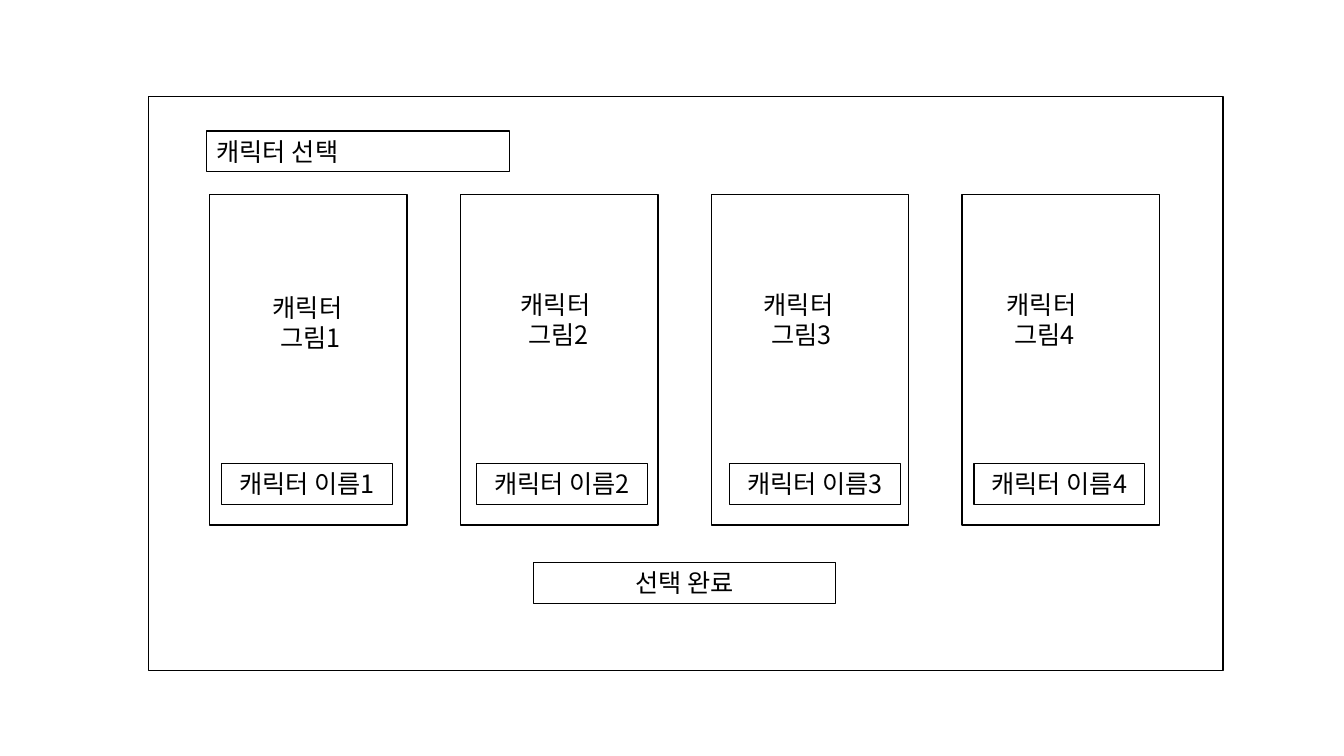
"""Build a character selection wireframe slide."""
from pptx import Presentation, util as u
from pptx.dml.color import RGBColor
from pptx.enum import shapes, text
from pptx.oxml.ns import qn

WIDE, HIGH = u.Inches(13.33), u.Inches(7.5)
FONT = "Noto Sans CJK KR"
INK, PAPER = "000000", "FFFFFF"
LEFT, MID = text.PP_ALIGN.LEFT, text.PP_ALIGN.CENTER
BAR_W, BAR_H = 22.51, 5.39
CARD_X, CARD_STEP = 15.6, 18.66
NAME_X = (16.5, 35.48, 54.31, 72.47)
ART_X = (11.63, 30.08, 48.16, 66.24)
ART_Y = (38, 37.6, 37.6, 37.6)


def color(code):
    """Turn a hex string into a colour."""
    return RGBColor.from_string(code)


def place(x, y, w, h):
    """Turn percentages of the slide into lengths."""
    return [round(part * size / 100)
            for part, size in zip((x, y, w, h), (WIDE, HIGH, WIDE, HIGH))]


def outline(parent, area, weight, fill=None):
    """Add a rectangle with a black outline."""
    box = parent.add_shape(shapes.MSO_SHAPE.RECTANGLE, *place(*area))
    box.shadow.inherit = False
    if fill:
        box.fill.solid()
        box.fill.fore_color.rgb = color(fill)
    else:
        box.fill.background()
    box.line.color.rgb = color(INK)
    box.line.width = u.Pt(weight)
    return box


def write(box, words, align):
    """Fill a box with styled text."""
    frame = box.text_frame
    frame.text = words
    frame.word_wrap = True
    frame.auto_size = text.MSO_AUTO_SIZE.SHAPE_TO_FIT_TEXT
    frame.vertical_anchor = text.MSO_ANCHOR.TOP
    for para in frame.paragraphs:
        para.alignment = align
        for run in para.runs:
            run.font.name = FONT
            run.font.size = u.Pt(18)
            run.font.color.rgb = color(INK)
            east = run.font._element.makeelement(qn("a:ea"), {"typeface": FONT})
            run.font._element.append(east)


def label(parent, area, words, align=MID):
    """Add a thinly outlined label."""
    write(outline(parent, area, 0.75), words, align)


def caption(parent, area, words):
    """Add plain centred text."""
    write(parent.add_textbox(*place(*area)), words, MID)


def main():
    """Draw the slide and save it."""
    deck = Presentation()
    deck.slide_width, deck.slide_height = WIDE, HIGH
    parts = deck.slides.add_slide(deck.slide_layouts[6]).shapes
    outline(parts, (11.03, 12.8, 79.97, 75.87), 1, PAPER)
    label(parts, (39.68, 74.4, BAR_W, BAR_H), "선택 완료")
    cards = parts.add_group_shape().shapes
    for i in range(4):
        outline(cards, (CARD_X + i * CARD_STEP, 25.73, 14.7, 43.73), 1, PAPER)
    for i, (name_x, art_x, art_y) in enumerate(zip(NAME_X, ART_X, ART_Y), 1):
        label(parts, (name_x, 61.33, 12.68, BAR_H), f"캐릭터 이름{i}")
        caption(parts, (art_x, art_y, BAR_W, 9.42), f"캐릭터\n 그림{i}")
    label(parts, (15.38, 17.33, BAR_W, BAR_H), "캐릭터 선택", LEFT)
    deck.save("out.pptx")


if __name__ == "__main__":
    main()
